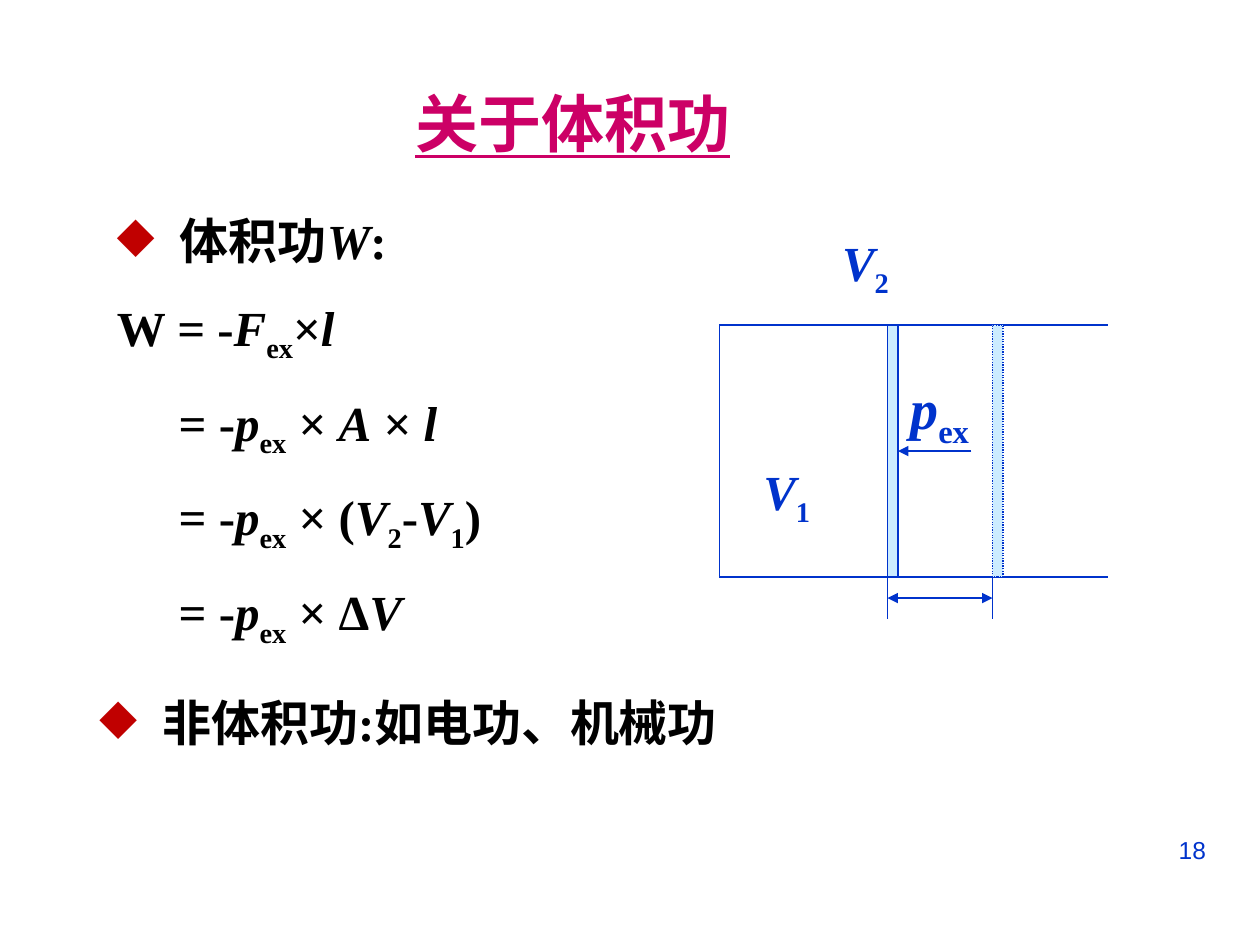
from pptx import Presentation as Deck
from pptx.dml.color import RGBColor as Rgb
from pptx.enum.dml import MSO_LINE_DASH_STYLE as Dash
from pptx.enum.shapes import MSO_CONNECTOR as Link, MSO_SHAPE as Preset
from pptx.enum.text import MSO_ANCHOR as Anchor, PP_ALIGN as Align
from pptx.oxml.ns import qn
from pptx.util import Inches, Pt
from lxml.etree import SubElement

COLORS = {"text": "000000", "title": "CC0066", "bullet": "C00000",
          "blue": "0033CC", "piston": "CCECFF"}
SERIF = "Times New Roman"
CELL = 1 / 12
ORIGIN = (5.71, 2.58)
TOP, MIDDLE, BOTTOM, DIMENSION, TICK_END = 0, 12, 24, 26, 28
WALL, PISTON_START, PISTON_END, OPEN_END = 0, 16, 26, 37

P_EX = [("p", "i"), ("ex", "s")]
V1 = [("V", "i"), ("1", "s")]
V2 = [("V", "i"), ("2", "s")]
EQUATIONS = [
    [("W = -", ""), ("F", "i"), ("ex", "s"), ("×", ""), ("l", "i")],
    [("= -", ""), *P_EX, (" × ", ""), ("A", "i"), (" × ", ""), ("l", "i")],
    [("= -", ""), *P_EX, (" × (", ""), *V2, ("-", ""), *V1, (")", "")],
    [("= -", ""), *P_EX, (" × Δ", ""), ("V", "i")],
]


def color(name):
    return Rgb.from_string(COLORS[name])


def grid(column, row):
    return Inches(ORIGIN[0] + column * CELL), Inches(ORIGIN[1] + row * CELL)


def add_box(page, left, top, width, height):
    box = page.shapes.add_textbox(left, top, Inches(width), Inches(height))
    box.text_frame.word_wrap = True
    return box


def write(para, spans, size=28, tone="text", font=SERIF, bold=True,
          underline=False, align=Align.LEFT, before=0):
    para.alignment = align
    para.space_before = Pt(before)
    for text, style in spans:
        span = para.add_run()
        span.text = text
        span.font.name = font
        span.font.size = Pt(size)
        span.font.bold = bold
        span.font.italic = style == "i"
        span.font.underline = underline
        span.font.color.rgb = color(tone)
        if style == "s":
            span.font._element.set("baseline", "-25000")


def indent(para, left, first=0):
    properties = para._p.get_or_add_pPr()
    properties.set("marL", str(Inches(left)))
    properties.set("indent", str(Inches(first)))
    return properties


def add_bullet(para):
    properties = indent(para, 0.5, -0.5)
    tint = SubElement(properties, qn("a:buClr"))
    SubElement(tint, qn("a:srgbClr"), val=COLORS["bullet"])
    SubElement(properties, qn("a:buChar"), char="◆")


def add_line(page, start, end, *arrows):
    line = page.shapes.add_connector(Link.STRAIGHT, *grid(*start), *grid(*end))
    line.line.color.rgb = color("blue")
    line.line.width = Pt(0.75)
    for arrow in arrows:
        SubElement(line.line._get_or_add_ln(), qn(f"a:{arrow}"), type="triangle")
    SubElement(line._element.spPr, qn("a:effectLst"))


def add_piston(page, column, dash=None):
    piston = page.shapes.add_shape(Preset.RECTANGLE, *grid(column, TOP),
                                   Inches(CELL), Inches(BOTTOM * CELL))
    piston.shadow.inherit = False
    piston.fill.solid()
    piston.fill.fore_color.rgb = color("piston")
    piston.line.color.rgb = color("blue")
    piston.line.width = Pt(0.75)
    if dash:
        piston.line.dash_style = dash


def add_label(page, column, row, spans, size=28):
    box = add_box(page, *grid(column, row), 1, 0.6)
    write(box.text_frame.paragraphs[0], spans, size=size, tone="blue")


def add_title(page):
    title = page.shapes.title
    title.left, title.top = Inches(2.43), Inches(0.62)
    title.width, title.height = Inches(4.23), Inches(0.7)
    title.text_frame.vertical_anchor = Anchor.MIDDLE
    write(title.text_frame.paragraphs[0], [("关于体积功", "")], size=36,
          tone="title", underline=True, align=Align.CENTER)


def add_derivation(page):
    frame = add_box(page, Inches(0.83), Inches(1.62), 5.12, 3.59).text_frame
    heading = frame.paragraphs[0]
    add_bullet(heading)
    write(heading, [("体积功", ""), ("W", "i"), (":", "")])
    for number, spans in enumerate(EQUATIONS):
        para = frame.add_paragraph()
        indent(para, 0.49 if number else 0)
        write(para, spans, before=16)


def add_other_work(page):
    box = add_box(page, Inches(0.69), Inches(5.45), 5.49, 0.57)
    para = box.text_frame.paragraphs[0]
    add_bullet(para)
    write(para, [("非体积功:如电功、机械功", "")])


def add_cylinder(page):
    for row in (TOP, BOTTOM):
        add_line(page, (WALL, row), (OPEN_END, row))
    add_line(page, (WALL, TOP), (WALL, BOTTOM))
    add_piston(page, PISTON_START)
    add_piston(page, PISTON_END, Dash.ROUND_DOT)
    add_line(page, (24, MIDDLE), (PISTON_START + 1, MIDDLE), "tailEnd")
    for column in (PISTON_START, PISTON_END):
        add_line(page, (column, BOTTOM), (column, TICK_END))
    add_line(page, (PISTON_START, DIMENSION), (PISTON_END, DIMENSION),
             "headEnd", "tailEnd")
    add_label(page, 17, 4, P_EX, size=32)
    add_label(page, 3, 12.4, V1)
    add_label(page, 10.5, -9.4, V2)


def add_page_number(page):
    box = add_box(page, Inches(7.17), Inches(6.58), 2.5, 0.52)
    write(box.text_frame.paragraphs[0], [("18", "")], size=14, tone="blue",
          font="Arial", bold=False, align=Align.RIGHT)


def main():
    deck = Deck()
    deck.slide_width, deck.slide_height = Inches(10), Inches(7.5)
    page = deck.slides.add_slide(deck.slide_layouts[5])
    add_title(page)
    add_derivation(page)
    add_other_work(page)
    add_cylinder(page)
    add_page_number(page)
    deck.save("out.pptx")


if __name__ == "__main__":
    main()
